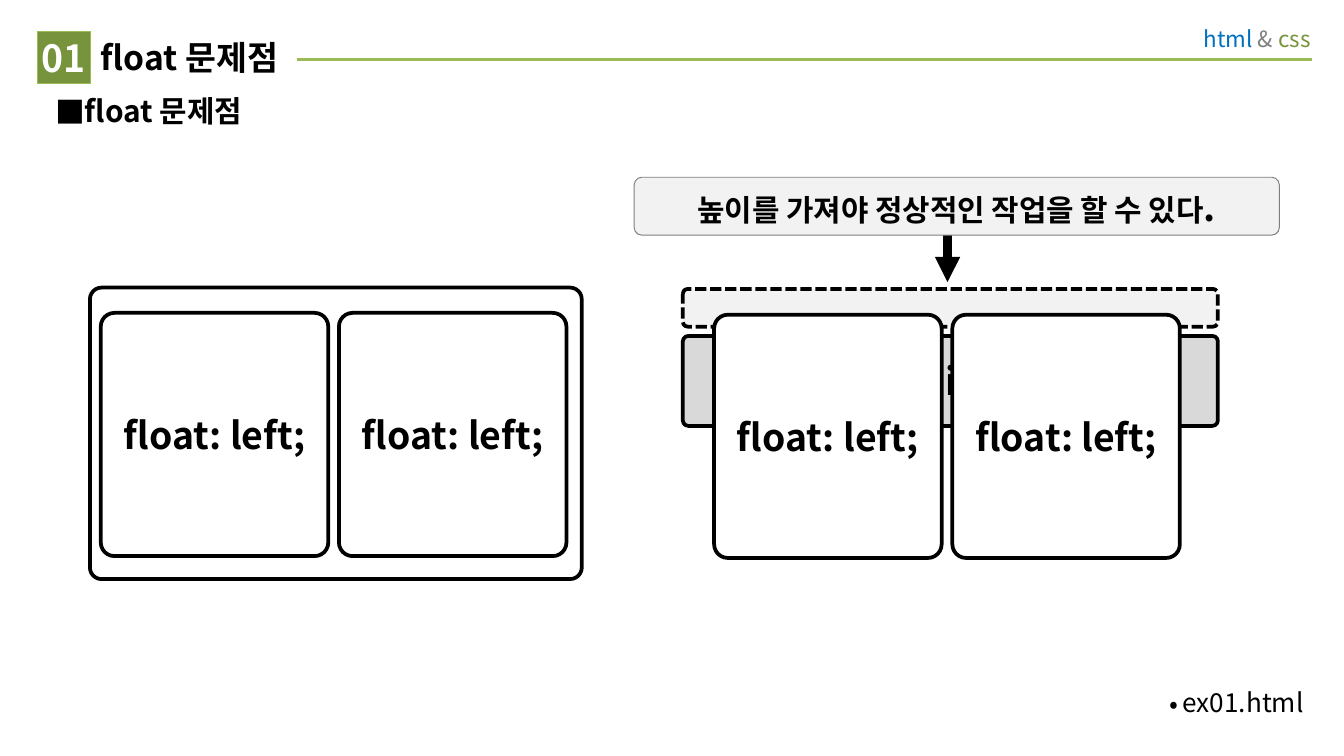
from lxml import etree
from pptx import Presentation
from pptx.dml.color import RGBColor
from pptx.enum import dml, shapes, text
from pptx.oxml import ns
from pptx.util import Pt

FONT = "Noto Sans CJK KR"
BLACK, WHITE, GREEN, GRAY = "000000", "FFFFFF", "77933C", "7F7F7F"


def paint(fill, color):
    """Make the fill of a shape, line or font solid."""
    fill.solid()
    fill.fore_color.rgb = RGBColor.from_string(color)


def write(box, *spans, align=text.PP_ALIGN.CENTER, anchor=text.MSO_ANCHOR.MIDDLE, insets=(7.2, 3.6, 7.2, 3.6),
          size=20, bold=True, before=0, bullet=None, indent=0, wrap=True):
    """Fill a box with one paragraph; each span is (words, colour) or (words, colour, size)."""
    frame = box.text_frame
    frame.auto_size = text.MSO_AUTO_SIZE.NONE
    frame.word_wrap = wrap
    frame.vertical_anchor = anchor
    frame.margin_left, frame.margin_top, frame.margin_right, frame.margin_bottom = map(Pt, insets)
    para = frame.paragraphs[0]
    para.alignment = align
    para.space_before = Pt(before)
    props = para._p.get_or_add_pPr()
    props.set("marL", str(Pt(indent)))
    props.set("indent", str(-Pt(indent)))
    if bullet:
        color = etree.SubElement(props, ns.qn("a:buClr"))
        etree.SubElement(color, ns.qn("a:srgbClr"), val=BLACK)
        etree.SubElement(props, ns.qn("a:buFont"), typeface=FONT)
        etree.SubElement(props, ns.qn("a:buChar"), char=bullet)
    else:
        etree.SubElement(props, ns.qn("a:buNone"))
    for words, color, *own_size in spans:
        span = para.add_run()
        span.text = words
        span.font.size = Pt(own_size[0] if own_size else size)
        span.font.bold = bold
        span.font.name = FONT
        paint(span.font.fill, color)
        etree.SubElement(span.font._element, ns.qn("a:ea"), typeface=FONT)


deck = Presentation()
deck.slide_width, deck.slide_height = Pt(720), Pt(405)
page = deck.slides.add_slide(deck.slide_layouts[3])
LEFT, TOP = text.PP_ALIGN.LEFT, text.MSO_ANCHOR.TOP

# Title, number badge and list
title, badge, topics = page.placeholders
for box, frame in [
    (title, (48.2, 16.6, 110.9, 28.1)),
    (badge, (20.2, 16.6, 28.1, 28.1)),
    (topics, (22.3, 46.1, 680.4, 37.4)),
]:
    box.left, box.top, box.width, box.height = map(Pt, frame)
paint(title.fill, WHITE)
paint(badge.fill, GREEN)
paint(badge.line.fill, "9BBB59")
badge.line.width = Pt(0.25)
write(title, ("float 문제점", BLACK), size=18, align=LEFT, anchor=TOP, insets=(5.8, 2.9, 0, 2.9))
write(badge, ("01", WHITE), before=5, insets=(0, 0, 0, 0))
write(topics, ("float 문제점", BLACK), size=16, align=LEFT, anchor=TOP, before=4, bullet="■", indent=14.4)

# Header rule and the arrow from the note to the collapsed parent
for start, end, color, width in [
    ((702.7, 31.8), (51.1, 31.8), "9BBB59", 1.5),
    ((507.6, 120.2), (507.6, 151.2), BLACK, 4.5),
]:
    line = page.shapes.add_connector(shapes.MSO_CONNECTOR.STRAIGHT, *map(Pt, start + end))
    paint(line.line.fill, color)
    line.line.width = Pt(width)
    etree.SubElement(line._element.spPr, ns.qn("a:effectLst"))
    if color == BLACK:
        etree.SubElement(line.line._get_or_add_ln(), ns.qn("a:tailEnd"), type="triangle")
    else:
        page.shapes._spTree.insert(2, line._element)  # behind the title

course = page.shapes.add_textbox(Pt(598.3), Pt(7.9), Pt(110.9), Pt(25.9))
write(course, ("html ", "0070C0"), ("& ", GRAY), ("css", GREEN), size=12, bold=False,
      align=text.PP_ALIGN.RIGHT, anchor=TOP, insets=(7.2, 5.8, 7.2, 5.8))
example = page.shapes.add_textbox(Pt(619.2), Pt(364.3), Pt(87.1), Pt(24.5))
write(example, ("ex01.html", BLACK), size=14, bold=False, align=LEFT, anchor=TOP,
      bullet="•", indent=7.2, wrap=False)

# Rounded panels from back to front: frame, corner, fill, line colour, line width, dash, spans
NOTE = [("높이를 가져야 정상적인 작업을 할 수 있다", BLACK, 16), (".", BLACK)]
panels = [
    ((365.8, 180, 286.6, 48.2), 0.06, "D9D9D9", BLACK, 2, None, [("div", BLACK)]),
    ((48.2, 154.1, 263.5, 156.2), 0.04, WHITE, BLACK, 2, None, []),
    ((365.8, 154.8, 286.6, 20.2), 0.13, "F2F2F2", BLACK, 2, dml.MSO_LINE.SQUARE_DOT, []),
    ((339.8, 95, 345.6, 31), 0.13, "F2F2F2", GRAY, 0.5, None, NOTE),
]
CARD_STEP = 127.6
for left, top, fill in [(54, 167.6, None), (382.6, 168.6, WHITE)]:
    for column in range(2):
        frame = (left + column * CARD_STEP, top, 121.9, 130.3)
        panels.append((frame, 0.06, fill, BLACK, 2, None, [("float: left;", BLACK)]))

for frame, corner, fill, color, width, dash, spans in panels:
    panel = page.shapes.add_shape(shapes.MSO_SHAPE.ROUNDED_RECTANGLE, *map(Pt, frame))
    panel.adjustments[0] = corner
    panel.shadow.inherit = False
    if fill:
        paint(panel.fill, fill)
    else:
        panel.fill.background()
    paint(panel.line.fill, color)
    panel.line.width = Pt(width)
    if dash:
        panel.line.dash_style = dash
    if spans:
        write(panel, *spans)

deck.save("out.pptx")
